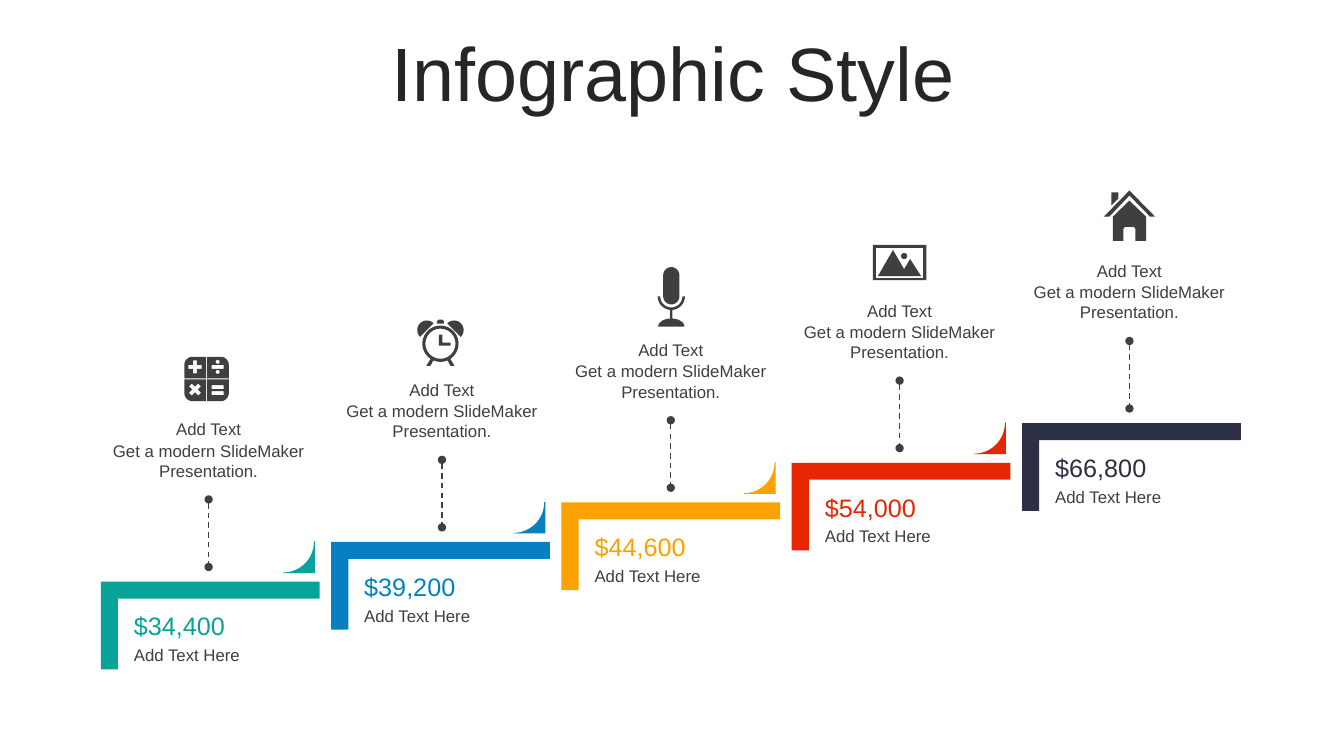
from math import cos, sin, radians

from pptx import Presentation
from pptx.dml.color import RGBColor
from pptx.enum.dml import MSO_LINE
from pptx.enum.shapes import MSO_CONNECTOR, MSO_SHAPE
from pptx.enum.text import MSO_ANCHOR, PP_ALIGN
from pptx.oxml.ns import qn
from pptx.util import Emu, Pt
from lxml.etree import SubElement

WIDTH, HEIGHT = Emu(12192000), Emu(6858000)
ROWS = 750
UNIT = HEIGHT / ROWS
STEP_X, STEP_Y = 228.5, 39.3

TEAL = RGBColor(0x07, 0xA3, 0x98)
BLUE = RGBColor(0x06, 0x80, 0xC3)
AMBER = RGBColor(0xFB, 0xA2, 0x00)
RED = RGBColor(0xE6, 0x26, 0x01)
NAVY = RGBColor(0x2C, 0x2F, 0x45)
GRAY = RGBColor(0x3F, 0x3F, 0x3F)
BLACK = RGBColor(0x26, 0x26, 0x26)


def cell(count):
    return Emu(round(count * UNIT))


def arc(x, y, r, start, end, high=None):
    high = r if high is None else high
    turns = [radians(start + (end - start) * i / 24) for i in range(25)]
    return [(x + r * cos(t), y + high * sin(t)) for t in turns]


def disc(x, y, r):
    return arc(x, y, r, 0, 360)


def box(x, y, wide, high):
    return [(x, y), (x + wide, y), (x + wide, y + high), (x, y + high)]


def cross(x, y, arm, thick, turn):
    c, s = cos(radians(turn)), sin(radians(turn))
    rim = [(thick, thick), (thick, arm), (-thick, arm), (-thick, thick),
           (-arm, thick), (-arm, -thick), (-thick, -thick), (-thick, -arm),
           (thick, -arm), (thick, -thick), (arm, -thick), (arm, thick)]
    return [(x + a * c - b * s, y + a * s + b * c) for a, b in rim]


def sums_icon():
    key = [(0.5, 0.5), (22, 0.5)] + arc(14, 14, 8, 0, 90) + [(0.5, 22)]
    keys = [[(a * x, b * y) for x, y in key] for a in (-1, 1) for b in (-1, 1)]
    return keys + [
        cross(-11.5, -12, 6.5, 1.9, 0), cross(-11.5, 10.5, 6.5, 2, 45),
        box(5, -14, 12, 4), disc(11, -7, 2), disc(11, -17, 2),
        box(5, 6, 12, 4), box(5, 12, 12, 4)]


def clock_icon():
    rim = (arc(0, 0, 18, 57, -237) + [(-14, 22), (-10, 22)]
           + arc(0, 0, 18, 113, 67) + [(10, 22), (14, 22)])
    hands = [(-1.5, -9), (2, -9), (2, -1), (10, -1), (10, 2), (-1.5, 2)]
    cap = [(3.5, -20), (-3.5, -20), (-3.5, -22), (-2, -24), (2, -24), (3.5, -22)]
    return [rim, disc(0, 0, 15), hands, cap,
            arc(-13.5, -13.5, 9.5, 135, 315), arc(13.5, -13.5, 9.5, 225, 405)]


def mic_icon():
    return [arc(0, -21, 8, 180, 360) + arc(0, 0, 8, 0, 180),
            arc(0, 0, 13.5, 0, 180) + arc(0, 0, 11, 180, 0),
            box(-1.2, 13.5, 2.4, 8.5),
            arc(0, 30, 13, 180, 360, 8)]


def photo_icon():
    hills = [(-6.5, -12.5), (4.5, 6.5), (10.5, -3.5), (21.5, 13.5), (-21.5, 13.5)]
    return [box(-26.5, -17.5, 53, 35), box(-23.5, -14.5, 47, 30),
            hills, disc(4.5, -6.5, 3)]


def house_icon():
    walls = ([(0, -15), (16.5, 1), (16.5, 25), (6, 25)]
             + arc(3, 14, 3, 0, -90) + arc(-3, 14, 3, 270, 180)
             + [(-6, 25), (-16.5, 25), (-16.5, 1)])
    stack = [(-18, -23), (-11, -23), (-11, -17), (-18, -10)]
    roof = [(0, -25), (25.5, 1), (20.5, 1), (0, -20), (-20, 1), (-25.5, 1)]
    return [walls, stack, roof]


def paint(shape, color):
    shape.shadow.inherit = False
    shape.fill.solid()
    shape.fill.fore_color.rgb = color
    shape.line.fill.background()


def outline(slide, x, y, rings, color):
    rings = [[(cell(x + a), cell(y + b)) for a, b in ring] for ring in rings]
    pen = slide.shapes.build_freeform(*rings[0][0], scale=1.0)
    for i, ring in enumerate(rings):
        if i:
            pen.move_to(*ring[0])
        pen.add_line_segments(ring[1:], close=True)
    paint(pen.convert_to_shape(), color)


def write(slide, x, y, wide, high, words, size, color,
          align=PP_ALIGN.LEFT, anchor=MSO_ANCHOR.TOP, space=None):
    frame = slide.shapes.add_textbox(
        cell(x), cell(y), cell(wide), cell(high)).text_frame
    frame.word_wrap = True
    frame.vertical_anchor = anchor
    line = frame.paragraphs[0]
    line.alignment = align
    line.line_spacing = space
    run = line.add_run()
    run.text = words
    run.font.name = "Arial"
    run.font.size = Pt(size)
    run.font.color.rgb = color


def bracket(slide, x, y, color):
    shape = slide.shapes.add_shape(
        MSO_SHAPE.CORNER, cell(x), cell(y), cell(217), cell(87))
    shape.adjustments[0] = 0.193
    shape.adjustments[1] = 0.196
    shape.rotation = 180
    shape._element.spPr.find(qn("a:xfrm")).set("flipH", "1")
    paint(shape, color)


def link(slide, x, top, end):
    line = slide.shapes.add_connector(
        MSO_CONNECTOR.STRAIGHT, cell(x), cell(top), cell(x), cell(end))
    line.line.color.rgb = GRAY
    line.line.width = Pt(1)
    line.line.dash_style = MSO_LINE.DASH
    for tag in ("a:headEnd", "a:tailEnd"):
        SubElement(line.line._ln, qn(tag)).set("type", "oval")
    SubElement(line._element.spPr, qn("a:effectLst"))


def stair(slide, x, y, mid, price, color, last):
    bracket(slide, x, y, color)
    if not last:
        curve = [(31.5, 0), (31.5, 31.5), (0, 31.5)] + arc(0, 0.5, 30.5, 90, 0)
        outline(slide, x + 181, y - 40, [curve], color)
    write(slide, x + 23, y + 24, 152, 40, price, 18, color,
          anchor=MSO_ANCHOR.MIDDLE)
    write(slide, x + 23, y + 58, 151, 30, "Add Text Here", 12, GRAY)
    write(slide, mid - 120, y - 145, 240, 50,
          "Get a modern SlideMaker Presentation.", 12, GRAY, PP_ALIGN.CENTER)
    write(slide, mid - 119, y - 166, 238, 30, "Add Text", 12, GRAY,
          PP_ALIGN.CENTER)
    link(slide, mid, y - 81.5, y - 14.5)


def main():
    deck = Presentation()
    deck.slide_width, deck.slide_height = WIDTH, HEIGHT
    slide = deck.slides.add_slide(deck.slide_layouts[6])
    write(slide, 35, 37, 1266, 79, "Infographic Style", 54, BLACK,
          PP_ALIGN.CENTER, MSO_ANCHOR.MIDDLE, 0.9)
    steps = [
        ("$34,400", TEAL, 207, sums_icon, 205, 376),
        ("$39,200", BLUE, 438.5, clock_icon, 437, 341),
        ("$44,600", AMBER, 665.5, mic_icon, 666, 294),
        ("$54,000", RED, 892.5, photo_icon, 892.5, 260.5),
        ("$66,800", NAVY, 1120.5, house_icon, 1120.5, 214),
    ]
    for i, (price, color, mid, icon, x, y) in enumerate(steps):
        stair(slide, 100 + STEP_X * i, 577 - STEP_Y * i, mid, price, color,
              i == len(steps) - 1)
        outline(slide, x, y, icon(), GRAY)
    deck.save("out.pptx")


if __name__ == "__main__":
    main()
